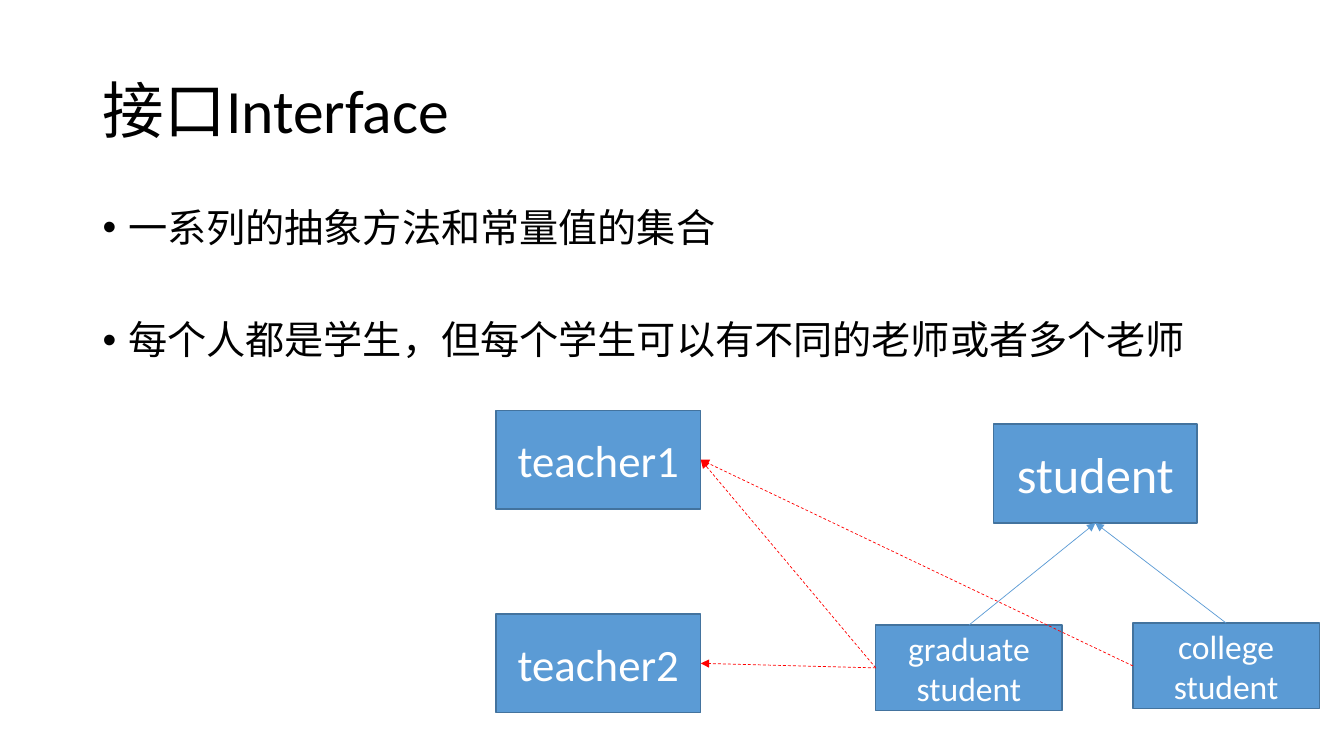
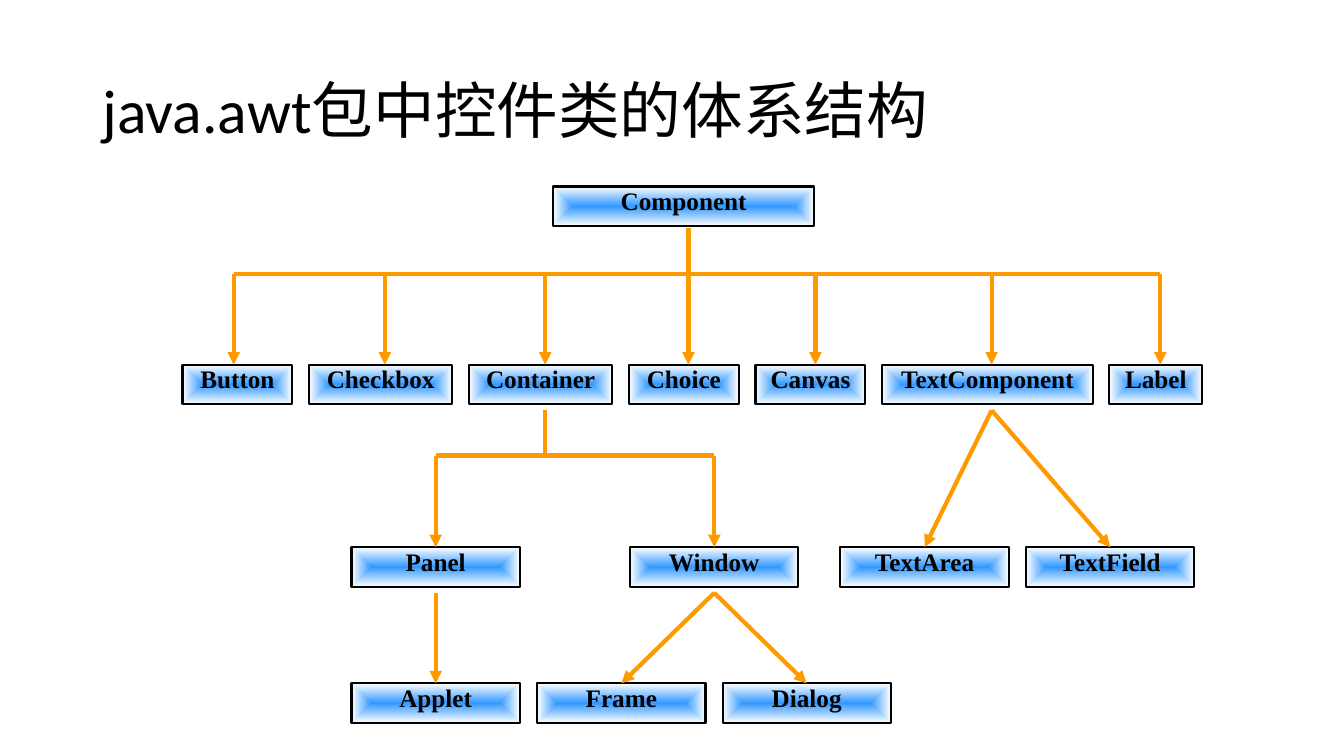
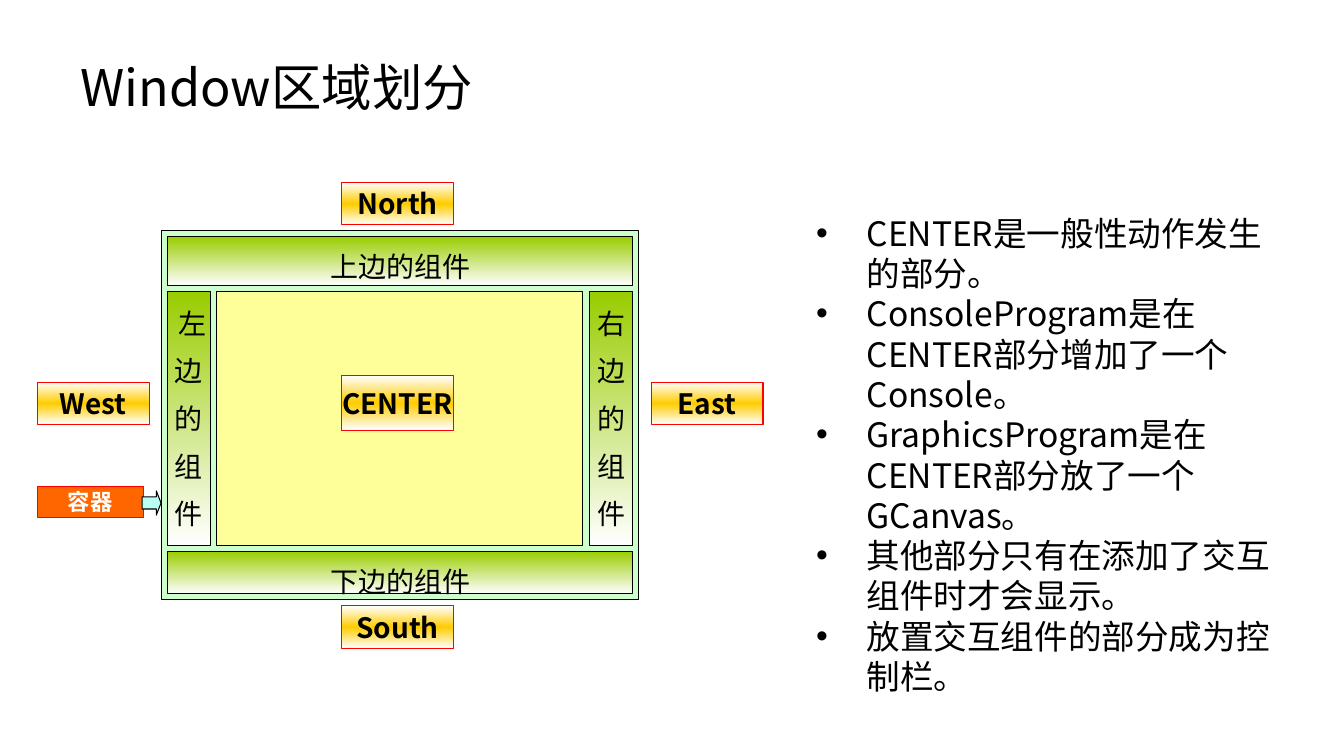
from lxml import etree
from pptx import Presentation
from pptx import util as u
from pptx.dml import color
from pptx.enum import dml, shapes, text
from pptx.oxml import ns

COLOURS = {
    "black": "000000", "white": "FFFFFF", "red": "FF0000",
    "blue": "5B9BD5", "navy": "43739E", "sky": "3399FF", "orange": "FF9900",
    "mint": "CCFFCC", "lime": "99CC00", "cream": "FFFF99", "gold": "FFCC00",
    "coral": "FF6600", "aqua": "B9FDF3",
}
GRADIENTS = {
    "glow": ["sky", "white"],
    "leaf": ["lime", "white"],
    "brass": ["white", "gold", "white"],
}
LATIN, SERIF = "Calibri", "Times New Roman"
HAN, HAN_ALT = "Noto Sans CJK SC", "Noto Sans CJK KR"
TOP, LEFT, BOTTOM, RIGHT = range(4)  # connection sites of a rectangle


def rgb(name):
    return color.RGBColor.from_string(COLOURS[name])


def add_xml(parent, tag, **attributes):
    return etree.SubElement(parent, ns.qn(tag), attributes)


class Slides:
    def __init__(self):
        self.deck = Presentation()
        self.deck.slide_width, self.deck.slide_height = u.Cm(33.87), u.Cm(19.05)
        self.page = None

    def new_page(self):
        self.page = self.deck.slides.add_slide(self.deck.slide_layouts[6])

    def add_lines(self, frame, lines, size, font=LATIN, colour="black", bold=False,
                  align=text.PP_ALIGN.LEFT, leading=None, gap=0, bullet=0):
        """Fill a frame; gap is points between paragraphs, bullet a hanging indent in cm."""
        for index, line in enumerate(lines):
            para = frame.paragraphs[0] if index == 0 else frame.add_paragraph()
            para.alignment = align
            if leading:
                para.line_spacing = leading
            if index and gap:
                para.space_before = u.Pt(gap)
            if bullet:
                props = para._p.get_or_add_pPr()
                props.set("marL", str(u.Cm(bullet)))
                props.set("indent", str(-u.Cm(bullet)))
                add_xml(props, "a:buFont", typeface="Arial")
                add_xml(props, "a:buChar", char="•")
            span = para.add_run()
            span.text = line
            span.font.size, span.font.bold = u.Pt(size), bold
            span.font.name = font
            span.font.color.rgb = rgb(colour)
            east_asian = font if font.startswith("Noto") else HAN
            add_xml(span._r.get_or_add_rPr(), "a:ea", typeface=east_asian)

    def text_box(self, place, lines, size, anchor=text.MSO_ANCHOR.TOP, **style):
        frame = self.page.shapes.add_textbox(*map(u.Cm, place)).text_frame
        frame.word_wrap = True
        frame.vertical_anchor = anchor
        self.add_lines(frame, lines, size, **style)

    def title(self, line):
        self.text_box((2.34, 1.02, 29.21, 3.68), [line], 44,
                      anchor=text.MSO_ANCHOR.MIDDLE, leading=0.9)

    def gradient(self, shape, name):
        fill = etree.Element(ns.qn("a:gradFill"), rotWithShape="1")
        stops = add_xml(fill, "a:gsLst")
        names = GRADIENTS[name]
        for index, colour in enumerate(names):
            stop = add_xml(stops, "a:gs", pos=str(100000 * index // (len(names) - 1)))
            add_xml(stop, "a:srgbClr", val=COLOURS[colour])
        if name == "glow":
            centre = add_xml(fill, "a:path", path="shape")
            add_xml(centre, "a:fillToRect", **dict.fromkeys("ltrb", "50000"))
        else:
            add_xml(fill, "a:lin", ang="5400000", scaled="1")
        shape._element.spPr.find(ns.qn("a:prstGeom")).addnext(fill)

    def box(self, place, fill, line="black", width=0.75, lines=(), size=20, wrap=True,
            anchor=text.MSO_ANCHOR.MIDDLE, inset=None,
            kind=shapes.MSO_SHAPE.RECTANGLE, **style):
        box = self.page.shapes.add_shape(kind, *map(u.Cm, place))
        box.shadow.inherit = False
        if fill in GRADIENTS:
            self.gradient(box, fill)
        else:
            box.fill.solid()
            box.fill.fore_color.rgb = rgb(fill)
        box.line.color.rgb, box.line.width = rgb(line), u.Pt(width)
        frame = box.text_frame
        frame.word_wrap, frame.vertical_anchor = wrap, anchor
        if inset is not None:
            frame.margin_top = u.Cm(inset)
        self.add_lines(frame, lines, size, align=text.PP_ALIGN.CENTER, **style)
        return box

    def line(self, start, end, colour="orange", width=3, arrow=True, dashed=False):
        """Draw from start to end, each an (x, y) in cm or a (box, site) pair."""
        link = self.page.shapes.add_connector(shapes.MSO_CONNECTOR.STRAIGHT, 0, 0, 0, 0)
        if isinstance(start[0], (int, float)):
            link.begin_x, link.begin_y = map(u.Cm, start)
            link.end_x, link.end_y = map(u.Cm, end)
        else:
            link.begin_connect(*start)
            link.end_connect(*end)
        link.line.color.rgb, link.line.width = rgb(colour), u.Pt(width)
        if dashed:
            link.line.dash_style = dml.MSO_LINE.DASH
        if arrow:
            add_xml(link._element.spPr.get_or_add_ln(), "a:tailEnd", type="triangle")
        add_xml(link._element.spPr, "a:effectLst")


def interface_page(slides):
    slides.new_page()
    slides.title("接口Interface")
    slides.text_box((2.34, 5.13, 29.21, 12.09),
                    ["一系列的抽象方法和常量值的集合",
                     "每个人都是学生，但每个学生可以有不同的老师或者多个老师"],
                    28, leading=0.9, gap=50, bullet=0.64)

    def entity(place, size, *lines):
        return slides.box(place, "blue", "navy", 1, lines, size, colour="white")

    student = entity((25.04, 10.69, 5.13, 2.49), 36, "student")
    graduate = entity((22.07, 15.75, 4.7, 2.16), 24, "graduate student")
    college = entity((28.55, 15.7, 4.7, 2.16), 24, "college", "student")
    first = entity((12.5, 10.34, 5.16, 2.49), 32, "teacher1")
    second = entity((12.5, 15.47, 5.16, 2.49), 32, "teacher2")

    for child in (graduate, college):
        slides.line((child, TOP), (student, BOTTOM), "blue", 0.5)
    for pupil, teacher in ((college, first), (graduate, second), (graduate, first)):
        slides.line((pupil, LEFT), (teacher, RIGHT), "red", 0.5, dashed=True)


def hierarchy_page(slides):
    slides.new_page()
    slides.title("java.awt包中控件类的体系结构")

    def node(name, left, top, width=4.24):
        slides.box((left, top, width, 1), "glow", width=1.5, lines=[name], size=18,
                   anchor=text.MSO_ANCHOR.TOP, font=SERIF, bold=True, leading=0.8)

    widgets_y, children_y, leaves_y = 9.19, 13.79, 17.22
    trunk_y, branch_y = 6.91, 11.48
    under_widgets, under_children = 10.34, 14.94
    widgets = [  # name, width, x of its stem
        ("Button", 2.77, 5.89), ("Checkbox", 3.61, 9.7), ("Container", 3.61, 13.74),
        ("Choice", 2.77, 17.35), ("Canvas", 2.77, 20.55),
        ("TextComponent", 5.31, 24.99), ("Label", 2.34, 29.24)]
    stems = {name: x for name, _, x in widgets}

    node("Component", 13.94, 4.7, 6.58)
    left = 4.6
    for name, width, x in widgets:
        node(name, left, widgets_y, width)
        slides.line((x, trunk_y), (x, widgets_y))
        left += width + 0.42
    slides.line((stems["Choice"], 5.74), (stems["Choice"], trunk_y), arrow=False)
    slides.line((stems["Button"], trunk_y), (stems["Label"], trunk_y), arrow=False)

    centres = {}
    for name, left, top in (
            ("Panel", 8.86, children_y), ("Window", 15.88, children_y),
            ("TextArea", 21.18, children_y), ("TextField", 25.86, children_y),
            ("Applet", 8.86, leaves_y), ("Frame", 13.54, leaves_y),
            ("Dialog", 18.21, leaves_y)):
        node(name, left, top)
        centres[name] = left + 2.12

    panel, window = centres["Panel"], centres["Window"]
    container = stems["Container"]
    slides.line((container, under_widgets), (container, branch_y), arrow=False)
    slides.line((panel, branch_y), (window, branch_y), arrow=False)
    for x in (panel, window):
        slides.line((x, branch_y), (x, children_y))
    for name in ("TextArea", "TextField"):
        slides.line((stems["TextComponent"], under_widgets), (centres[name], children_y))
    for parent, name in ((panel, "Applet"), (window, "Frame"), (window, "Dialog")):
        slides.line((parent, under_children), (centres[name], leaves_y))


def window_page(slides):
    slides.new_page()
    slides.box((4.06, 5.82, 12.04, 9.3), "mint")
    for line, top, height in (("上边的组件", 5.97, 1.22), ("下边的组件", 13.89, 1.07)):
        slides.box((4.22, top, 11.73, height), "leaf", lines=[line], wrap=False,
                   anchor=text.MSO_ANCHOR.TOP, inset=0.33, font=HAN_ALT)
    for first, left in ((" 左", 4.22), ("右", 14.86)):
        slides.box((left, 7.34, 1.09, 6.4), "leaf", lines=[first, *"边的组件"],
                   wrap=False, font=HAN_ALT, gap=10)
    slides.box((5.46, 7.34, 9.22, 6.4), "cream")
    slides.box((0.94, 12.27, 2.67, 0.76), "coral", "red", lines=["容器"], size=16,
               wrap=False, colour="white", bold=True)
    arrow = slides.box((3.58, 12.37, 0.48, 0.61), "aqua",
                       kind=shapes.MSO_SHAPE.RIGHT_ARROW)
    arrow.adjustments[1] = 0.25
    for name, left, top, height in (
            ("North", 8.61, 4.6, 1.07), ("South", 8.61, 15.27, 1.07),
            ("East", 16.41, 9.63, 1.07), ("West", 0.94, 9.63, 1.07),
            ("CENTER", 8.61, 9.47, 1.37)):
        slides.box((left, top, 2.82, height), "brass", "red", lines=[name],
                   wrap=False, font=HAN_ALT, bold=True)
    slides.text_box((1.78, 1.3, 14.76, 1.8), ["Window区域划分"], 36, font=HAN)
    slides.text_box((20.32, 5.23, 12.09, 12.57),
                    ["CENTER是一般性动作发生的部分。",
                     "ConsoleProgram是在CENTER部分增加了一个Console。",
                     "GraphicsProgram是在CENTER部分放了一个GCanvas。",
                     "其他部分只有在添加了交互组件时才会显示。",
                     "放置交互组件的部分成为控制栏。"],
                    24, font=HAN, bullet=1.27)


def main():
    slides = Slides()
    interface_page(slides)
    hierarchy_page(slides)
    window_page(slides)
    slides.deck.save("out.pptx")


if __name__ == "__main__":
    main()
